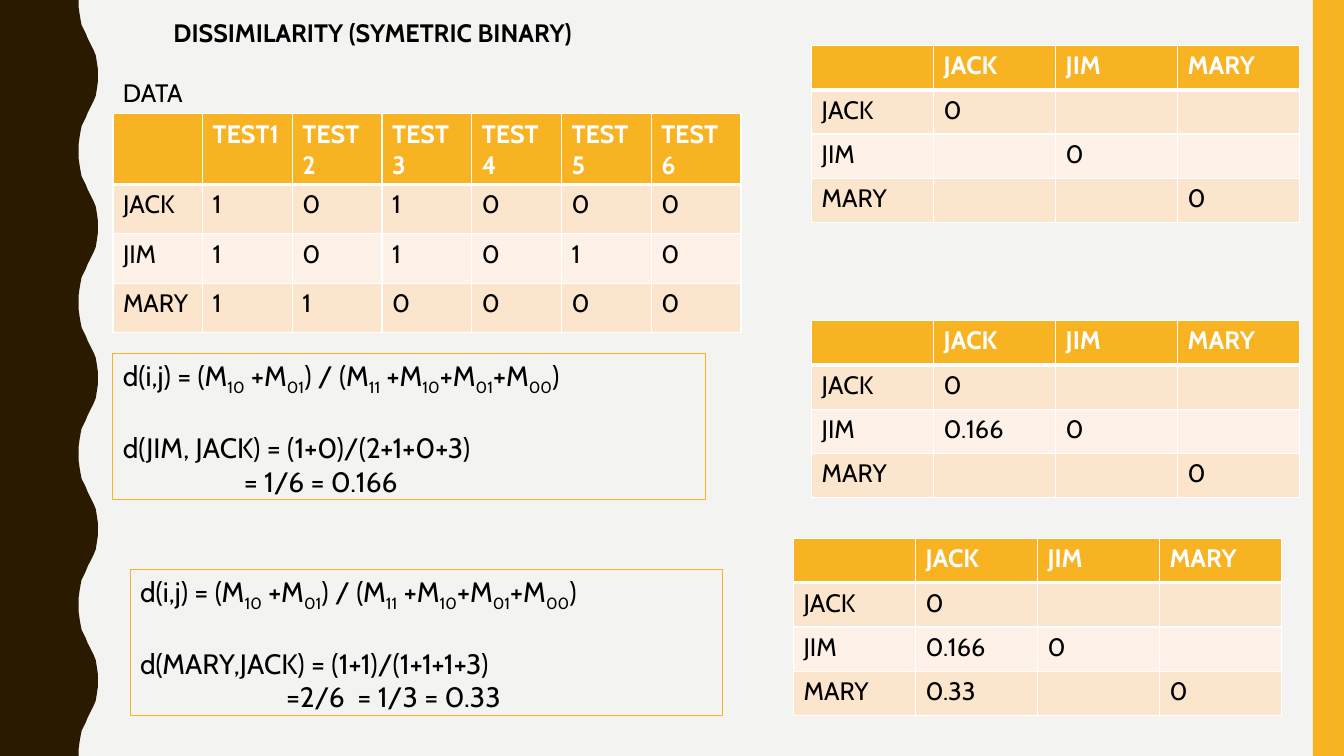
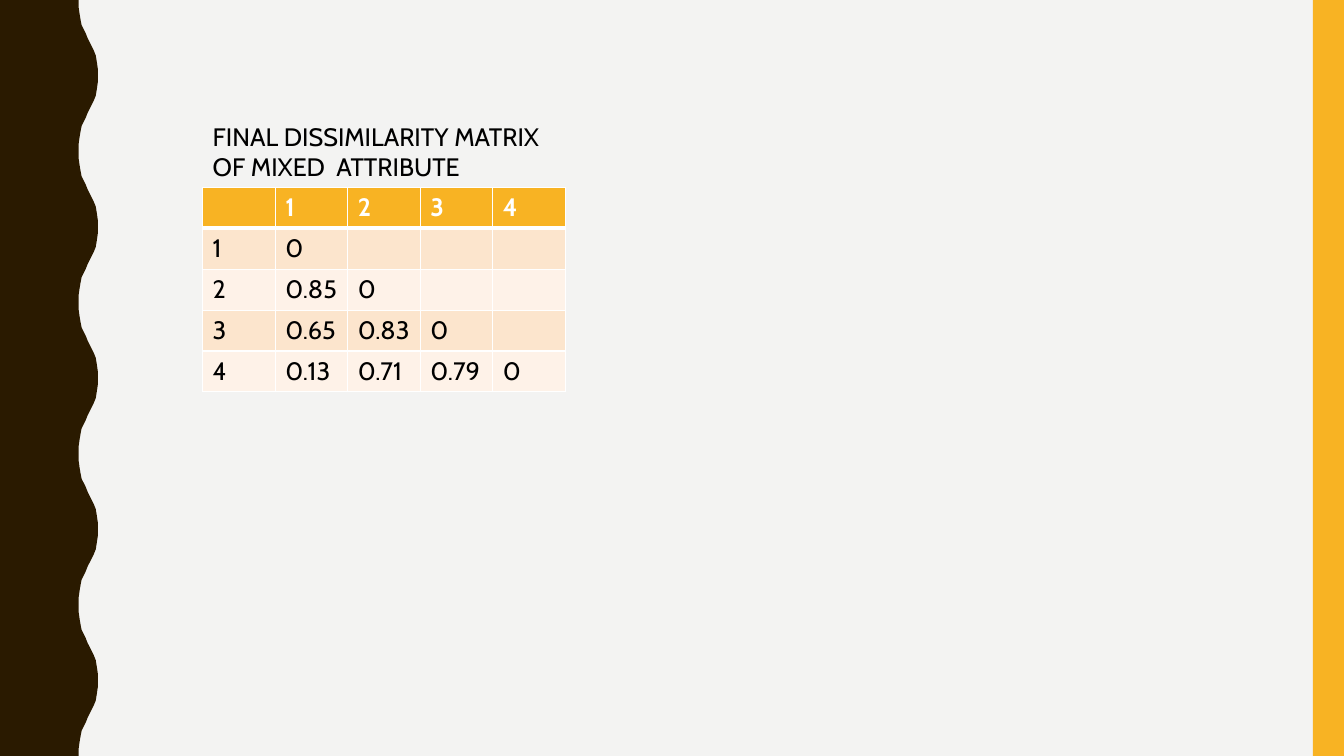
from lxml import etree
from pptx import Presentation
from pptx.dml.color import RGBColor
from pptx.enum.shapes import MSO_SHAPE
from pptx.enum.text import MSO_ANCHOR, MSO_AUTO_SIZE, PP_ALIGN
from pptx.oxml.ns import qn
from pptx.util import Inches, Pt

RECTANGLE = MSO_SHAPE.RECTANGLE
TOP = MSO_ANCHOR.TOP
NO_AUTOFIT = MSO_AUTO_SIZE.NONE
LEFT = PP_ALIGN.LEFT

BLACK = RGBColor(0x00, 0x00, 0x00)
WHITE = RGBColor(0xFF, 0xFF, 0xFF)
PAPER = RGBColor(0xF3, 0xF3, 0xF2)
BROWN = RGBColor(0x2A, 0x1A, 0x00)
AMBER = RGBColor(0xF8, 0xB3, 0x23)
ROW_TINTS = (RGBColor(0xFC, 0xE5, 0xCD), RGBColor(0xFE, 0xF2, 0xE8))

TEXT = {"name": "Cabin", "size": Pt(18), "bold": False}
HEADING = {**TEXT, "bold": True}
FORMULA_TEXT = {**TEXT, "size": Pt(20)}

SLIDE_WIDTH, SLIDE_HEIGHT = 13.33, 7.5
BAND_WIDTH = 0.31
WAVE_LENGTH = 1.5
HALF_WAVE = [
    (0.78, 0), (0.78, 0.07), (0.79, 0.14), (0.8, 0.2), (0.81, 0.25),
    (0.83, 0.29), (0.85, 0.33), (0.87, 0.38), (0.89, 0.42), (0.91, 0.46),
    (0.93, 0.5), (0.95, 0.55), (0.96, 0.61), (0.97, 0.68), (0.97, 0.75),
]

PEOPLE = ["JACK", "JIM", "MARY"]
TESTS = [f"TEST{number}" for number in range(1, 7)]
TEST_RESULTS = ["101000", "101010", "110000"]
# Subscripts stand between underscores
FORMULA = "d(i,j) = (M_10_ +M_01_) / (M_11_ +M_10_+M_01_+M_00_)"


def format_font(font, values, color=BLACK):
    for name, value in values.items():
        setattr(font, name, value)
    font.color.rgb = color


def add_run(paragraph, text, values, color=BLACK):
    run = paragraph.add_run()
    run.text = text
    format_font(run.font, values, color)
    return run


def fill_plain(shape, color):
    shape.shadow.inherit = False
    shape.fill.solid()
    shape.fill.fore_color.rgb = color
    shape.line.fill.background()


def decorate_master(presentation, slide):
    """Draw the wavy edge and the side band, then move them to the master."""
    master = presentation.slide_master
    master.background.fill.solid()
    master.background.fill.fore_color.rgb = PAPER

    wave = HALF_WAVE + [(x, WAVE_LENGTH - y) for x, y in HALF_WAVE[-2::-1]]
    outline = [(x, y + index * WAVE_LENGTH)
               for index in range(int(SLIDE_HEIGHT / WAVE_LENGTH))
               for x, y in wave]
    outline.append((0, SLIDE_HEIGHT))
    builder = slide.shapes.build_freeform(0, 0)
    builder.add_line_segments([(Inches(x), Inches(y)) for x, y in outline])
    edge = builder.convert_to_shape()
    band = slide.shapes.add_shape(
        RECTANGLE, Inches(SLIDE_WIDTH - BAND_WIDTH), 0,
        Inches(BAND_WIDTH), Inches(SLIDE_HEIGHT))
    for shape, color in ((band, AMBER), (edge, BROWN)):
        fill_plain(shape, color)
        master.shapes.element.insert(2, shape.element)


def place_title(slide, text, left, top, width, height, values):
    title = slide.shapes.title
    title.left, title.top = Inches(left), Inches(top)
    title.width, title.height = Inches(width), Inches(height)
    frame = title.text_frame
    frame.auto_size = NO_AUTOFIT
    frame.vertical_anchor = TOP
    frame.word_wrap = True
    paragraph = frame.paragraphs[0]
    paragraph.alignment = LEFT
    add_run(paragraph, text, values)


def add_label(slide, text, left, top, width, height):
    box = slide.shapes.add_textbox(
        Inches(left), Inches(top), Inches(width), Inches(height))
    box.text_frame.word_wrap = True
    add_run(box.text_frame.paragraphs[0], text, TEXT)


def add_formula_box(slide, left, top, calculation, result, result_indent):
    box = slide.shapes.add_shape(
        RECTANGLE, Inches(left), Inches(top), Inches(5.88), Inches(1.45))
    box.shadow.inherit = False
    box.fill.background()
    box.line.color.rgb = AMBER
    box.line.width = Pt(0.75)
    frame = box.text_frame
    frame.word_wrap = True
    frame.vertical_anchor = TOP

    formula = frame.paragraphs[0]
    for index, part in enumerate(FORMULA.split("_")):
        run = add_run(formula, part, FORMULA_TEXT)
        if index % 2:
            run.font._element.set("baseline", "-25000")
    calculation_line = frame.add_paragraph()
    calculation_line.space_before = Pt(24)
    add_run(calculation_line, calculation, FORMULA_TEXT)
    result_line = frame.add_paragraph()
    result_line._p.get_or_add_pPr().set("marL", str(Inches(result_indent)))
    add_run(result_line, result, FORMULA_TEXT)
    for paragraph in frame.paragraphs:
        paragraph.alignment = LEFT


def add_borders(cell, row):
    """Give a cell white borders, with a thick one below the header row."""
    properties = cell._tc.get_or_add_tcPr()
    widths = {"lnL": 1, "lnR": 1,
              "lnT": 3 if row == 1 else 1, "lnB": 3 if row == 0 else 1}
    for side, width in widths.items():
        line = etree.SubElement(properties, qn(f"a:{side}"), w=str(Pt(width)))
        fill = etree.SubElement(line, qn("a:solidFill"))
        etree.SubElement(fill, qn("a:srgbClr"), val=str(WHITE))


def add_grid(slide, left, top, column_width, row_heights, columns, names, rows):
    """Add a table with a header row and a name column; short rows end empty."""
    width = column_width * (len(columns) + 1)
    table = slide.shapes.add_table(
        len(names) + 1, len(columns) + 1, Inches(left), Inches(top),
        Inches(width), Inches(sum(row_heights))).table
    for column in table.columns:
        column.width = Inches(column_width)
    for row, height in zip(table.rows, row_heights):
        row.height = Inches(height)

    lines = [["", *columns]]
    lines += [[name, *values] for name, values in zip(names, rows)]
    for row, line in enumerate(lines):
        color = ROW_TINTS[(row - 1) % 2] if row else AMBER
        for column in range(len(columns) + 1):
            cell = table.cell(row, column)
            add_borders(cell, row)
            cell.fill.solid()
            cell.fill.fore_color.rgb = color
            text = line[column] if column < len(line) else ""
            if text:
                add_run(cell.text_frame.paragraphs[0], text,
                        TEXT if row else HEADING, BLACK if row else WHITE)


def add_people_matrix(slide, left, top, rows):
    add_grid(slide, left, top, 1.21, [0.44] * 4, PEOPLE, PEOPLE, rows)


def build_symmetric_binary(slide):
    place_title(slide, "DISSIMILARITY (SYMETRIC BINARY)",
                1.62, 0.12, 5.45, 0.4, HEADING)
    add_label(slide, "DATA", 1.12, 0.72, 1.01, 0.4)
    add_grid(slide, 1.12, 1.13, 0.89, [0.7] + [0.49] * 3,
             TESTS, PEOPLE, TEST_RESULTS)
    add_formula_box(slide, 1.12, 3.51, "d(JIM, JACK) = (1+0)/(2+1+0+3)",
                    "= 1/6 = 0.166", 1.2)
    add_formula_box(slide, 1.29, 5.65, "d(MARY,JACK) = (1+1)/(1+1+1+3)",
                    "=2/6  = 1/3 = 0.33", 1.45)
    add_people_matrix(slide, 8.05, 0.45, [["0"], ["", "0"], ["", "", "0"]])
    add_people_matrix(slide, 8.05, 3.18,
                      [["0"], ["0.166", "0"], ["", "", "0"]])
    add_people_matrix(slide, 7.87, 5.34,
                      [["0"], ["0.166", "0"], ["0.33", "", "0"]])


def build_final_matrix(slide):
    place_title(slide, "FINAL DISSIMILARITY MATRIX OF MIXED  ATTRIBUTE",
                2.01, 1.15, 3.58, 0.71, TEXT)
    add_grid(slide, 2.01, 1.86, 0.72, [0.4] * 5, "1234", "1234",
             [["0"], ["0.85", "0"], ["0.65", "0.83", "0"],
              ["0.13", "0.71", "0.79", "0"]])


def main():
    presentation = Presentation()
    presentation.slide_width = Inches(SLIDE_WIDTH)
    presentation.slide_height = Inches(SLIDE_HEIGHT)
    title_only = presentation.slide_layouts[5]
    binary_slide = presentation.slides.add_slide(title_only)
    final_slide = presentation.slides.add_slide(title_only)
    decorate_master(presentation, binary_slide)
    build_symmetric_binary(binary_slide)
    build_final_matrix(final_slide)
    presentation.save("out.pptx")


if __name__ == "__main__":
    main()
